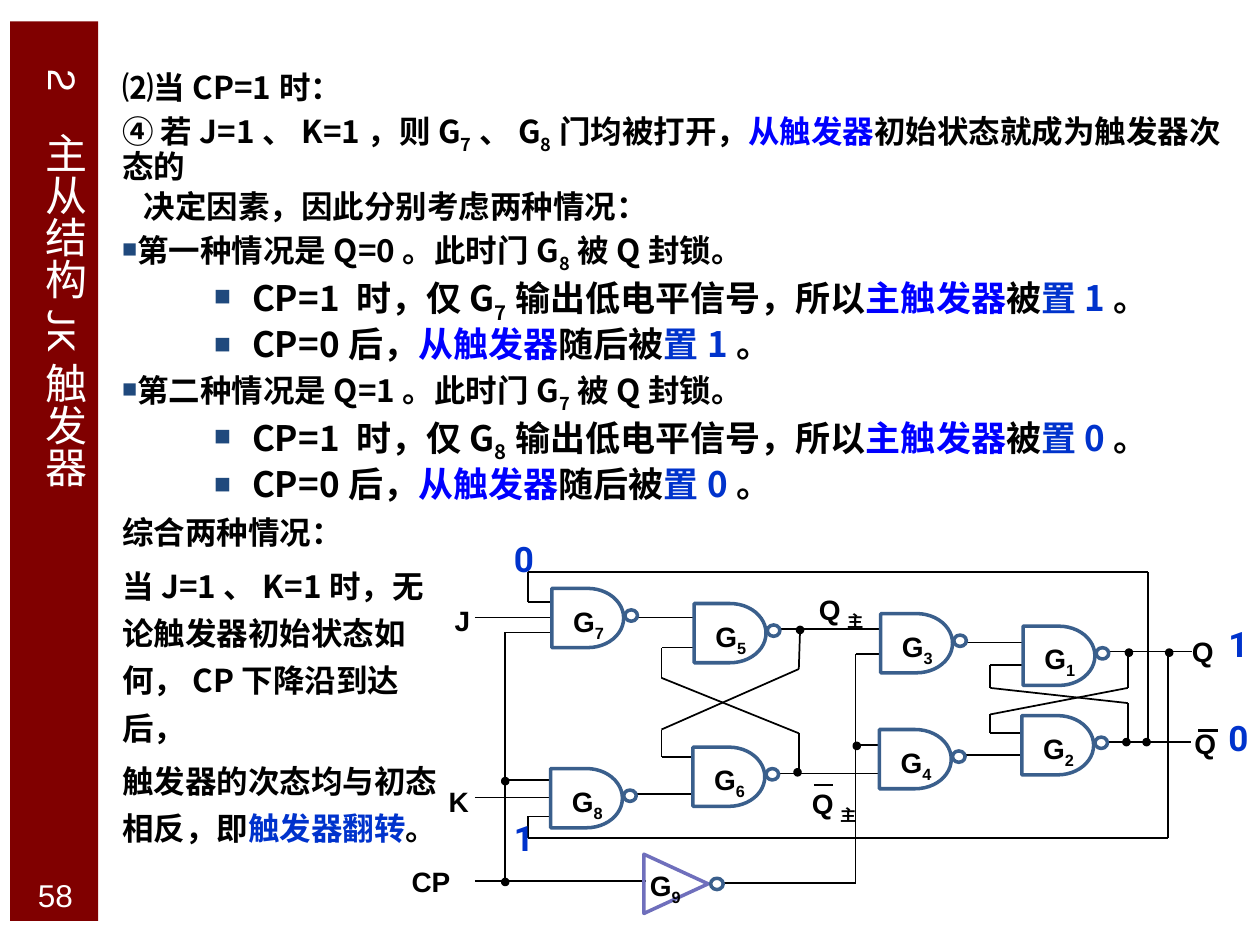
from itertools import pairwise
from typing import NamedTuple

from lxml import etree
from pptx import Presentation
from pptx import util as u
from pptx.dml.color import RGBColor
from pptx.enum import shapes, text
from pptx.oxml.ns import qn

PX = 9144
BLACK = RGBColor(0, 0, 0)
WHITE = RGBColor(255, 255, 255)
MAROON = RGBColor(0x80, 0, 0)
BLUE = RGBColor(0, 0, 0xFF)
ROYAL = RGBColor(0, 0x33, 0xCC)
STEEL = RGBColor(0x3A, 0x5F, 0x8C)
VIOLET = RGBColor(0x6F, 0x6F, 0xBC)
BULLET = "1F497D"
CJK = "Noto Sans CJK SC"


class Run(NamedTuple):
    text: str
    color: RGBColor | None = None
    subscript: bool = False
    size: int | None = None


class Line(NamedTuple):
    runs: list[Run]
    size: int = 18
    margin: int = 0
    indent: int = 0
    bullet: bool = False


class Gate(NamedTuple):
    number: str
    left: int
    top: int


class Label(NamedTuple):
    runs: list[Run]
    left: int
    top: int
    width: int = 52
    align: text.PP_ALIGN = text.PP_ALIGN.CENTER


def gate_name(number: str) -> list[Run]:
    return [Run("G"), Run(number, subscript=True)]


def case(ordinal: str, state: str, open_gate: str, blocked: str, result: str) -> list[Line]:
    sub = {"size": 20, "margin": 103, "indent": -30, "bullet": True}
    outcome = [Run("置" + result, ROYAL), Run("。")]
    return [
        Line([Run(f"第{ordinal}种情况是Q={state}。此时门G"), Run(blocked, subscript=True),
              Run("被Q封锁。")], bullet=True),
        Line([Run("CP=1 时，仅G"), Run(open_gate, subscript=True),
              Run("输出低电平信号，所以"), Run("主触发器", BLUE), Run("被"), *outcome], **sub),
        Line([Run("CP=0后，"), Run("从触发器", BLUE), Run("随后被"), *outcome], **sub),
    ]


HEADING = [Run("2"), Run("　", size=17), Run("主从结构JK触发器")]
ANALYSIS = [
    Line([Run("⑵当CP=1时：")]),
    Line([Run("④ 若J=1、K=1，则G"), Run("7", subscript=True), Run("、G"),
          Run("8", subscript=True), Run("门均被打开，"), Run("从触发器", BLUE),
          Run("初始状态就成为触发器次态的")]),
    Line([Run("决定因素，因此分别考虑两种情况：")], margin=17),
    *case("一", "0", "7", "8", "1"),
    *case("二", "1", "8", "7", "0"),
]
SUMMARY = [
    Line([Run("综合两种情况：")]),
    Line([Run("当J=1、K=1时，无论触发器初始状态如何，CP下降沿到达后，")]),
    Line([Run("触发器的次态均与初态相反，即"), Run("触发器翻转", ROYAL), Run("。")]),
]
GATES = [
    Gate("1", 812, 497), Gate("2", 811, 568), Gate("3", 699, 487), Gate("4", 698, 579),
    Gate("5", 551, 479), Gate("6", 550, 593), Gate("7", 438, 467), Gate("8", 437, 610),
]
MASTER_Q = [Run("Q"), Run("主", subscript=True)]
LABELS = [
    Label([Run("J")], 341, 477), Label([Run("K")], 338, 621), Label([Run("CP")], 316, 684),
    Label(gate_name("9"), 502, 685),
    Label(MASTER_Q, 634, 466, 67), Label(MASTER_Q, 630, 620, 64),
    Label([Run("Q")], 921, 502, align=text.PP_ALIGN.RIGHT),
    Label([Run("Q")], 923, 575, align=text.PP_ALIGN.RIGHT),
]
WIRES = [
    [(377, 490), (437, 490)], [(377, 633), (437, 633)], [(377, 699), (513, 699)],
    [(437, 502), (401, 502), (401, 699)], [(401, 619), (437, 619)],
    [(506, 490), (551, 490)], [(505, 630), (550, 630)],
    [(618, 499), (698, 499)], [(618, 614), (698, 614)],
    [(767, 510), (812, 510)], [(766, 599), (811, 599)],
    [(879, 517), (946, 517)], [(878, 589), (945, 589)],
    [(551, 514), (525, 514), (525, 538), (634, 582), (634, 613)],
    [(635, 499), (634, 531), (525, 579), (525, 601), (550, 601)],
    [(812, 528), (786, 528), (786, 546), (895, 558), (895, 589)],
    [(895, 517), (895, 546), (786, 567), (786, 582), (811, 582)],
    [(438, 478), (419, 478), (419, 454), (911, 454), (911, 589)],
    [(437, 648), (419, 648), (419, 665), (927, 665), (927, 517)],
    [(573, 701), (679, 701), (679, 519), (699, 519)], [(679, 591), (698, 591)],
]
OVERBARS = [[(951, 580), (967, 580)], [(646, 623), (661, 623)]]
JUNCTIONS = [(633, 498), (631, 611), (399, 698), (399, 618), (678, 590),
             (894, 516), (892, 587), (908, 587), (926, 516)]
VALUES = [("1", 965, 489), ("0", 965, 564), ("1", 398, 643), ("0", 398, 422)]


def place(shape, left: int, top: int, width: int, height: int) -> None:
    shape.left, shape.top = left * PX, top * PX
    shape.width, shape.height = width * PX, height * PX


def style(paragraph, size: int, font: str, color: RGBColor, bold: bool = True) -> None:
    paragraph.font.size = u.Pt(size)
    paragraph.font.name = font
    paragraph.font.bold = bold
    paragraph.font.color.rgb = color


def add_runs(paragraph, runs: list[Run]) -> None:
    for item in runs:
        run = paragraph.add_run()
        run.text = item.text
        if item.size is not None:
            run.font.size = u.Pt(item.size)
        if item.color is not None:
            run.font.color.rgb = item.color
        if item.subscript:
            run._r.get_or_add_rPr().set("baseline", "-25000")


def set_bullet(properties, visible: bool) -> None:
    if not visible:
        etree.SubElement(properties, qn("a:buNone"))
        return
    color = etree.SubElement(properties, qn("a:buClr"))
    etree.SubElement(color, qn("a:srgbClr"), val=BULLET)
    etree.SubElement(properties, qn("a:buSzPct"), val="80000")
    etree.SubElement(properties, qn("a:buFont"), typeface="Arial")
    etree.SubElement(properties, qn("a:buChar"), char="■")


def fill_body(frame, lines: list[Line], spacing: float) -> None:
    frame.auto_size = text.MSO_AUTO_SIZE.NONE
    for index, line in enumerate(lines):
        paragraph = frame.add_paragraph() if index else frame.paragraphs[0]
        paragraph.level = 1 if line.indent else 0
        paragraph.line_spacing = spacing
        properties = paragraph._p.get_or_add_pPr()
        properties.set("marL", str(line.margin * PX))
        properties.set("indent", str(line.indent * PX))
        properties.set("hangingPunct", "0")
        set_bullet(properties, line.bullet)
        style(paragraph, line.size, CJK, BLACK)
        etree.SubElement(properties.find(qn("a:defRPr")), qn("a:ea"), typeface=CJK)
        add_runs(paragraph, line.runs)


def add_text(slide, label: Label, height: int, size: int, font: str, color: RGBColor,
             bold: bool = True, spacing: float = 1.0) -> None:
    box = slide.shapes.add_textbox(*(n * PX for n in (label.left, label.top, label.width, height)))
    box.text_frame.word_wrap = True
    paragraph = box.text_frame.paragraphs[0]
    paragraph.alignment = label.align
    paragraph.line_spacing = spacing
    style(paragraph, size, font, color, bold)
    add_runs(paragraph, label.runs)


def add_outline(slide, kind, left: int, top: int, width: int, height: int,
                line: RGBColor, fill: RGBColor | None = None):
    shape = slide.shapes.add_shape(kind, left * PX, top * PX, width * PX, height * PX)
    shape.shadow.inherit = False
    if fill is None:
        shape.fill.background()
    else:
        shape.fill.solid()
        shape.fill.fore_color.rgb = fill
    shape.line.color.rgb = line
    shape.line.width = u.Pt(2)
    return shape


def add_wire(slide, points: list[tuple[int, int]], width: float = 1) -> None:
    for start, end in pairwise(points):
        wire = slide.shapes.add_connector(
            shapes.MSO_CONNECTOR.STRAIGHT, *(n * PX for n in (*start, *end)))
        wire.line.color.rgb = BLACK
        wire.line.width = u.Pt(width)
        etree.SubElement(wire._element.spPr, qn("a:effectLst"))


def add_gate(slide, gate: Gate) -> None:
    kinds = shapes.MSO_SHAPE
    add_outline(slide, kinds.FLOWCHART_DELAY, gate.left, gate.top, 57, 47, STEEL)
    add_outline(slide, kinds.OVAL, gate.left + 58, gate.top + 17, 10, 9, STEEL)
    label = Label(gate_name(gate.number), gate.left + 3, gate.top + 8)
    add_text(slide, label, 34, 16, "Arial", BLACK, spacing=0.9)


def add_heading(title) -> None:
    place(title, 12, 44, 65, 672)
    frame = title.text_frame
    frame.auto_size = text.MSO_AUTO_SIZE.NONE
    frame.vertical_anchor = text.MSO_ANCHOR.TOP
    frame.margin_top, frame.margin_right = 10 * PX, 5 * PX
    frame._txBody.bodyPr.set("vert", "eaVert")
    paragraph = frame.paragraphs[0]
    paragraph.alignment = text.PP_ALIGN.LEFT
    style(paragraph, 24, "Karla", WHITE, False)
    add_runs(paragraph, HEADING)


def main() -> None:
    presentation = Presentation()
    presentation.slide_width, presentation.slide_height = 1000 * PX, 750 * PX
    slide = presentation.slides.add_slide(presentation.slide_layouts[3])
    title, analysis, summary = slide.placeholders
    kinds = shapes.MSO_SHAPE

    bar = add_outline(slide, kinds.RECTANGLE, 8, 17, 70, 714, MAROON, MAROON)
    bar.line.fill.background()
    slide.shapes._spTree.insert(2, bar._element)

    add_heading(title)
    place(analysis, 87, 52, 913, 323)
    fill_body(analysis.text_frame, ANALYSIS, 0.9)
    place(summary, 87, 395, 272, 311)
    fill_body(summary.text_frame, SUMMARY, 1.25)
    add_text(slide, Label([Run("58")], 12, 690, 64), 35, 18, "Arial", WHITE, False)

    for wire in WIRES:
        add_wire(slide, wire)
    for overbar in OVERBARS:
        add_wire(slide, overbar, 1.5)
    for gate in GATES:
        add_gate(slide, gate)
    inverter = add_outline(slide, kinds.ISOSCELES_TRIANGLE, 513, 676, 47, 51, VIOLET)
    inverter.rotation = 90
    add_outline(slide, kinds.OVAL, 564, 697, 10, 9, STEEL)
    for left, top in JUNCTIONS:
        add_outline(slide, kinds.OVAL, left, top, 4, 4, BLACK, BLACK)
    for label in LABELS:
        add_text(slide, label, 34, 16, "Arial", BLACK, spacing=0.9)
    for value, left, top in VALUES:
        label = Label([Run(value)], left, top, 44, text.PP_ALIGN.LEFT)
        add_text(slide, label, 44, 20, "Roboto", ROYAL)

    presentation.save("out.pptx")


if __name__ == "__main__":
    main()
